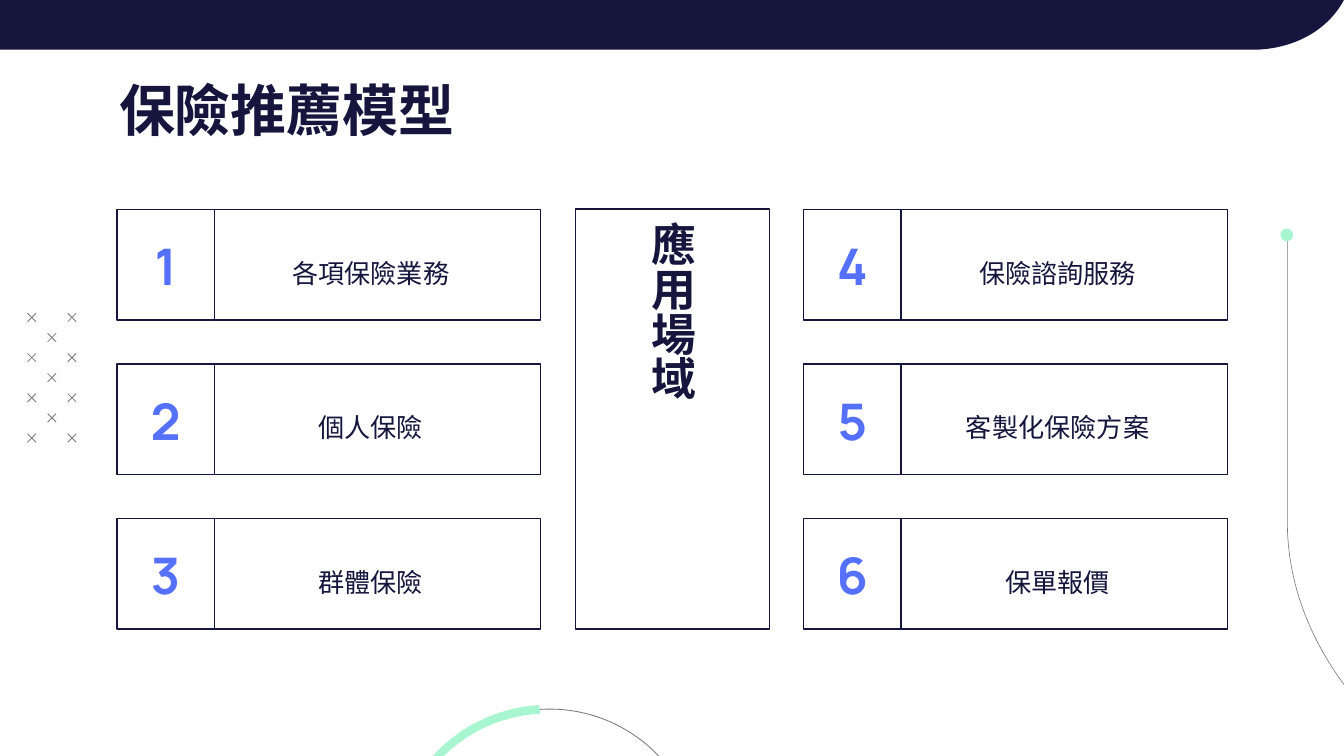
from dataclasses import dataclass

from lxml.etree import SubElement
from pptx import Presentation
from pptx.dml.color import RGBColor
from pptx.enum.shapes import MSO_CONNECTOR as Link, MSO_SHAPE as Kind
from pptx.enum.text import MSO_ANCHOR as Anchor, PP_ALIGN as Align
from pptx.oxml.ns import qn
from pptx.util import Cm, Pt

NAVY = RGBColor(0x15, 0x15, 0x3E)
BLUE = RGBColor(0x55, 0x71, 0xFB)
MINT = RGBColor(0xA7, 0xF6, 0xCF)
GREY = RGBColor(0x7A, 0x7A, 0x7A)
WHITE = RGBColor(0xFF, 0xFF, 0xFF)
HAN = "Noto Sans CJK SC"
LATIN = "Manrope"

Point = tuple[float, float]
Leg = tuple[Point, ...]  # one point for a line, three for a Bézier curve


@dataclass(frozen=True)
class Card:
    num: str
    label: str
    col: int
    row: int


LABELS = ["各項保險業務", "個人保險", "群體保險", "保險諮詢服務", "客製化保險方案", "保單報價"]
CARDS = [Card(str(i + 1), label, i // 3, i % 3) for i, label in enumerate(LABELS)]
COLS = (2.21, 15.19)
TOP, PITCH, HIGH = 3.96, 2.92, 2.09
NUM_W, LABEL_W = 1.84, 6.17

deck = Presentation()
deck.slide_width, deck.slide_height = Cm(25.4), Cm(14.29)
slide = deck.slides.add_slide(deck.slide_layouts[6])
shapes = slide.shapes


def paint(shape, fill: RGBColor | None, line: RGBColor | None, width: float) -> None:
    shape.shadow.inherit = False
    if fill is None:
        shape.fill.background()
    else:
        shape.fill.solid()
        shape.fill.fore_color.rgb = fill
    if line is None:
        shape.line.fill.background()
    else:
        shape.line.color.rgb = line
        shape.line.width = Pt(width)


def block(x: float, y: float, w: float, h: float, kind=Kind.RECTANGLE,
          fill: RGBColor | None = None, line: RGBColor | None = NAVY):
    shape = shapes.add_shape(kind, Cm(x), Cm(y), Cm(w), Cm(h))
    paint(shape, fill, line, 0.75)
    return shape


def write(shape, text: str, *, size: float, font: str = HAN, color: RGBColor = NAVY,
          bold: bool = False, align=Align.CENTER, anchor=Anchor.MIDDLE,
          pad: tuple[float, float, float, float] = (0.25, 0.25, 0.25, 0.25)) -> None:
    frame = shape.text_frame
    frame.word_wrap = True
    frame.vertical_anchor = anchor
    (frame.margin_left, frame.margin_top,
     frame.margin_right, frame.margin_bottom) = map(Cm, pad)
    para = frame.paragraphs[0]
    para.alignment = align
    run = para.add_run()
    run.text = text
    run.font.size, run.font.bold, run.font.name = Pt(size), bold, font
    run.font.color.rgb = color
    SubElement(run.font._element, qn("a:ea"), typeface=font)


def trace(start: Point, legs: list[Leg], *, fill: RGBColor | None = None,
          line: RGBColor | None = None, width: float = 0.44) -> None:
    pen = shapes.build_freeform(Cm(start[0]), Cm(start[1]))
    spots = [(Cm(x), Cm(y)) for leg in legs for x, y in leg]
    pen.add_line_segments(spots, close=fill is not None)
    shape = pen.convert_to_shape()
    paint(shape, fill, line, width)
    # Fold each run of three points into one curve
    nodes = iter(list(shape._element.iter(qn("a:lnTo"))))
    for leg in legs:
        head, *rest = [next(nodes) for _ in leg]
        if rest:
            head.tag = qn("a:cubicBezTo")
        for node in rest:
            node.getparent().remove(node)
            head.append(node[0])


def stroke(x1: float, y1: float, x2: float, y2: float) -> None:
    line = shapes.add_connector(Link.STRAIGHT, Cm(x1), Cm(y1), Cm(x2), Cm(y2))
    line.line.color.rgb = GREY
    line.line.width = Pt(0.44)
    SubElement(line._element.spPr, qn("a:effectLst"))


def cross(x: float, y: float, size: float = 0.16) -> None:
    stroke(x, y, x + size, y + size)
    stroke(x + size, y, x, y + size)


def draw_card(card: Card) -> None:
    x, y = COLS[card.col], TOP + card.row * PITCH
    write(block(x, y, NUM_W, HIGH), card.num, size=27, font=LATIN, color=BLUE,
          bold=True, anchor=Anchor.BOTTOM, pad=(0.25, 0, 0.25, 0.46))
    write(block(x + NUM_W, y, LABEL_W, HIGH), card.label, size=14,
          pad=(0.51, 0.56, 0.76, 0.25))


# Staggered crosses on the left
for row in range(7):
    for col in (1,) if row % 2 else (0, 2):
        cross(0.52 + col * 0.38, 5.92 + row * 0.38)

# Ring at the bottom, with a thick quarter
trace((10.21, 13.41), [
    ((11.79, 13.31), (13.16, 14.53), (13.24, 16.13)),
    ((13.34, 17.73), (12.12, 19.08), (10.52, 19.18)),
    ((8.92, 19.26), (7.57, 18.03), (7.47, 16.43)),
], line=GREY)
trace((10.21, 13.49), [
    ((10.19, 13.33),),
    ((8.86, 13.41), (7.8, 14.35), (7.49, 15.57)),
    ((7.42, 15.85), (7.39, 16.15), (7.39, 16.46)),
    ((7.54, 16.43),),
    ((7.54, 16.15), (7.57, 15.88), (7.65, 15.6)),
    ((7.92, 14.45), (8.94, 13.56), (10.21, 13.49)),
], fill=MINT)

# Curve with a dot on the right
trace((24.33, 4.45), [
    ((24.33, 9.86),),
    ((24.33, 13.74), (29.08, 16.89), (34.93, 16.89)),
    ((38.3, 16.89),),
], line=GREY, width=0.35)
block(24.2, 4.32, 0.24, 0.24, Kind.OVAL, fill=MINT, line=None)

# Top band with a rounded corner
trace((0, 0), [
    ((0, 0.94),),
    ((23.75, 0.94),),
    ((24.49, 0.91), (25.1, 0.56), (25.4, 0)),
], fill=NAVY)

# Title
title = shapes.add_textbox(Cm(2), Cm(1.26), Cm(21.44), Cm(1.6))
write(title, "保險推薦模型", size=30, bold=True, align=Align.LEFT)

# Numbered cards
for card in CARDS:
    draw_card(card)

# Upright panel in the middle
panel = block(10.88, 3.95, 3.66, 7.94, fill=WHITE)
write(panel, "應用場域", size=24, bold=True)
panel.text_frame._txBody.bodyPr.set("vert", "eaVert")

deck.save("out.pptx")
